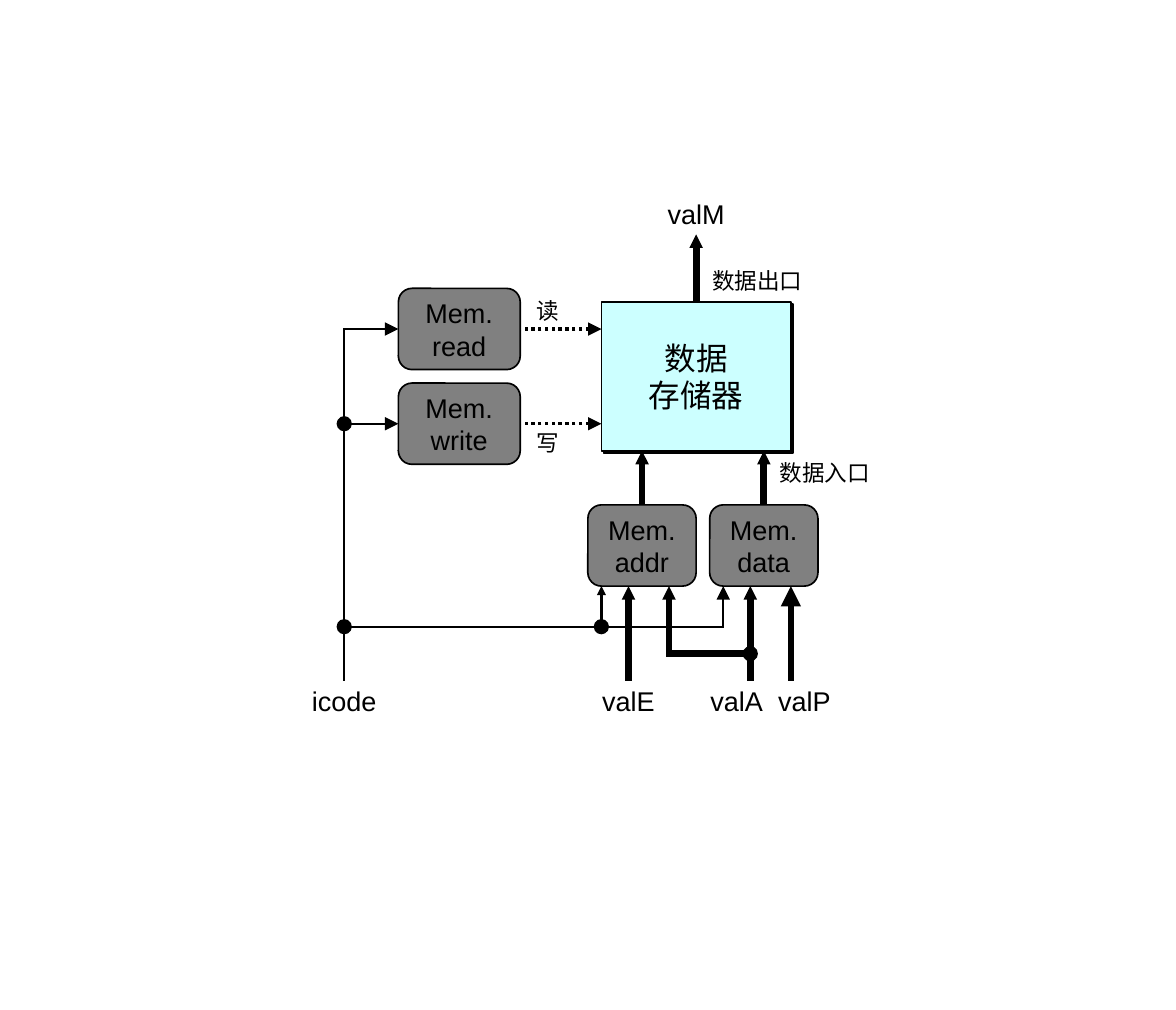
from pptx import Presentation
from pptx.util import Pt
from pptx.dml.color import RGBColor
from pptx.enum.dml import MSO_LINE
from pptx.enum.shapes import MSO_CONNECTOR, MSO_SHAPE
from pptx.enum.text import MSO_ANCHOR, PP_ALIGN
from pptx.oxml.ns import qn
from lxml.etree import SubElement

HUES = {"ink": "000000", "unit": "808080", "store": "CCFFFF"}
CELL, LEFT, TOP = 6, 2.6, 1.9


def spot(x, y):
    return Pt(LEFT + CELL * x), Pt(TOP + CELL * y)


def write(shape, text, size, align=PP_ALIGN.CENTER, wrap=False):
    frame = shape.text_frame
    look = {"word_wrap": wrap, "vertical_anchor": MSO_ANCHOR.MIDDLE}
    if not wrap:
        for side in ("left", "right", "top", "bottom"):
            look["margin_" + side] = 0
    for key, value in look.items():
        setattr(frame, key, value)
    frame.text = text
    for para in frame.paragraphs:
        para.alignment = align
        for key, value in {"name": "Arial", "size": Pt(size)}.items():
            setattr(para.font, key, value)
        para.font.color.rgb = RGBColor.from_string(HUES["ink"])


deck = Presentation()
for key, value in {"slide_width": Pt(521.28), "slide_height": Pt(447.84)}.items():
    setattr(deck, key, value)
slide = deck.slides.add_slide(deck.slide_layouts[6])
shapes = slide.shapes
ink = RGBColor.from_string(HUES["ink"])

boxes = [
    ("数据\n存储器", 44, 22, 14, 11, "store"),
    ("Mem.\nread", 29, 21, 9, 6, "unit"),
    ("Mem.\nwrite", 29, 28, 9, 6, "unit"),
    ("Mem.\naddr", 43, 37, 8, 6, "unit"),
    ("Mem.\ndata", 52, 37, 8, 6, "unit"),
]
for text, x, y, wide, high, hue in boxes:
    store = hue == "store"
    kind = MSO_SHAPE.RECTANGLE if store else MSO_SHAPE.ROUNDED_RECTANGLE
    box = shapes.add_shape(kind, *spot(x, y), Pt(CELL * wide), Pt(CELL * high))
    box.shadow.inherit = False
    box.fill.solid()
    box.fill.fore_color.rgb = RGBColor.from_string(HUES[hue])
    box.line.color.rgb = ink
    box.line.width = Pt(0.75)
    write(box, text, 14 if store else 12)
    if store:
        glow = box._element.spPr.find(qn("a:effectLst"))
        cast = SubElement(glow, qn("a:outerShdw"), dist=str(Pt(1.4)),
                          dir="2700000", algn="ctr", rotWithShape="0")
        SubElement(cast, qn("a:srgbClr"), val=HUES["ink"])

wires = [
    ([(51, 22), (51, 17)], 3, "sm"),
    ([(47, 37), (47, 33)], 3, "sm"),
    ([(56, 37), (56, 33)], 3, "sm"),
    ([(46, 50), (46, 43)], 3, "sm"),
    ([(55, 50), (55, 43)], 3, "sm"),
    ([(58, 50), (58, 43)], 3, "med"),
    ([(55, 48), (49, 48), (49, 43)], 3, "sm"),
    ([(25, 46), (53, 46), (53, 43)], 1, "med"),
    ([(25, 50), (25, 24), (29, 24)], 1, "med"),
    ([(25, 31), (29, 31)], 1, "med"),
    ([(44, 46), (44, 43)], 1, "sm"),
    ([(44, 24), (38, 24)], 1.5, "med"),
    ([(44, 31), (38, 31)], 1.5, "med"),
]
for route, width, size in wires:
    dots = width == 1.5
    ends = [spot(*point) for point in route]
    if len(ends) == 2:
        wire = shapes.add_connector(MSO_CONNECTOR.STRAIGHT, *ends[0], *ends[1])
    else:
        path = shapes.build_freeform(*ends[0], scale=1.0)
        path.add_line_segments(ends[1:], close=False)
        wire = path.convert_to_shape()
        wire.fill.background()
    wire.line.color.rgb = ink
    wire.line.width = Pt(width)
    if dots:
        wire.line.dash_style = MSO_LINE.ROUND_DOT
    edge = wire.line._get_or_add_ln()
    SubElement(edge, qn("a:miter"), lim="800000")
    SubElement(edge, qn("a:headEnd" if dots else "a:tailEnd"),
               type="triangle", w=size, len=size)
    SubElement(wire._element.spPr, qn("a:effectLst"))

for x, y in [(55, 48), (44, 46), (25, 31), (25, 46)]:
    dot = shapes.add_shape(MSO_SHAPE.OVAL, *spot(x - 0.5, y - 0.5), Pt(CELL), Pt(CELL))
    dot.shadow.inherit = False
    dot.fill.solid()
    dot.fill.fore_color.rgb = ink
    dot.line.color.rgb = ink
    dot.line.width = Pt(0.75)

names = [("valM", 51, 13), ("icode", 25, 49), ("valE", 46, 49),
         ("valA", 54, 49), ("valP", 59, 49)]
for text, x, y in names:
    label = shapes.add_textbox(*spot(x - 3, y), Pt(CELL * 6), Pt(CELL * 5))
    write(label, text, 12)

notes = [("读", 38, 21, 8), ("写", 38, 30.8, 7),
         ("数据出口", 51, 18.8, 10), ("数据入口", 56, 33, 10)]
for text, x, y, wide in notes:
    label = shapes.add_textbox(*spot(x, y), Pt(CELL * wide), Pt(19.4))
    write(label, text, 10, PP_ALIGN.LEFT, True)

deck.save("out.pptx")
